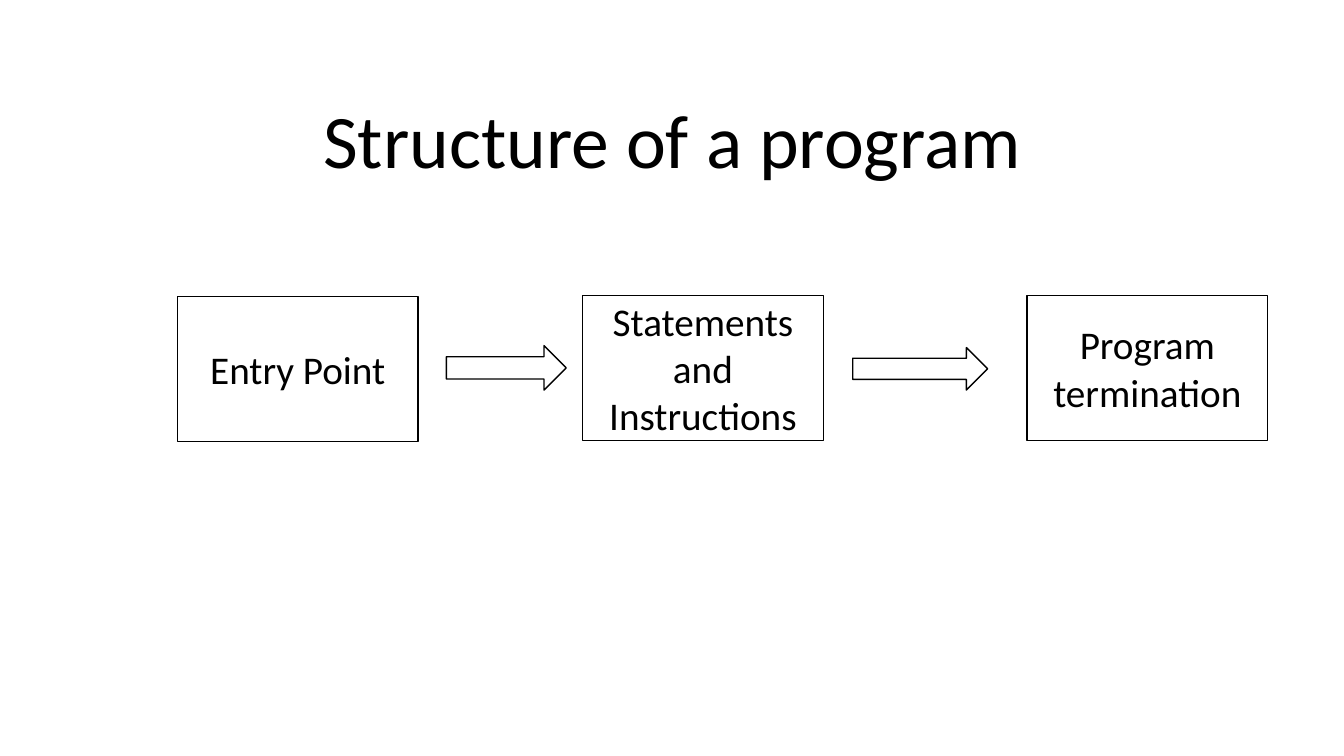
from pptx import Presentation
from pptx.dml.color import RGBColor
from pptx.enum.shapes import MSO_SHAPE
from pptx.enum.text import MSO_ANCHOR, MSO_AUTO_SIZE, PP_ALIGN
from pptx.util import Cm, Pt

RECTANGLE, RIGHT_ARROW = MSO_SHAPE.RECTANGLE, MSO_SHAPE.RIGHT_ARROW
TOP, MIDDLE = MSO_ANCHOR.TOP, MSO_ANCHOR.MIDDLE
CENTER = PP_ALIGN.CENTER
NO_AUTOFIT = MSO_AUTO_SIZE.NONE

COLORS = {"ink": "000000", "paper": "FFFFFF"}
TITLE_ONLY = 5
STEP_WIDTH, STEP_HEIGHT = 6.07, 3.66

# Steps: text, left, top
STEPS = [
    ("Entry Point", 4.47, 7.47),
    ("Statements and Instructions", 14.68, 7.44),
    ("Program termination", 25.88, 7.44),
]
# Arrows between the steps: left, top, width, height
ARROWS = [(11.25, 8.71, 3.02, 1.12), (21.49, 8.76, 3.4, 1.07)]


class FlowPage:
    font = "Calibri"
    title_size = 54
    step_size = 28
    line_width = 1

    def __init__(self, page):
        self.page = page

    def color(self, name):
        return RGBColor.from_string(COLORS[name])

    def set_text(self, shape, text, size, anchor):
        frame = shape.text_frame
        frame.text = text
        frame.word_wrap = True
        frame.auto_size = NO_AUTOFIT
        frame.vertical_anchor = anchor
        para = frame.paragraphs[0]
        para.alignment = CENTER
        para.font.name = self.font
        para.font.size = Pt(size)
        para.font.color.rgb = self.color("ink")

    def title(self, text, left, top, width, height):
        box = self.page.shapes.title
        box.left, box.top = Cm(left), Cm(top)
        box.width, box.height = Cm(width), Cm(height)
        self.set_text(box, text, self.title_size, TOP)

    def outline(self, kind, left, top, width, height):
        shape = self.page.shapes.add_shape(
            kind, Cm(left), Cm(top), Cm(width), Cm(height))
        shape.shadow.inherit = False
        shape.fill.solid()
        shape.fill.fore_color.rgb = self.color("paper")
        shape.line.color.rgb = self.color("ink")
        shape.line.width = Pt(self.line_width)
        return shape

    def step(self, text, left, top):
        box = self.outline(RECTANGLE, left, top, STEP_WIDTH, STEP_HEIGHT)
        self.set_text(box, text, self.step_size, MIDDLE)

    def arrow(self, left, top, width, height):
        self.outline(RIGHT_ARROW, left, top, width, height)


def main():
    deck = Presentation()
    deck.slide_width, deck.slide_height = Cm(33.87), Cm(19.05)
    flow = FlowPage(deck.slides.add_slide(deck.slide_layouts[TITLE_ONLY]))

    # Heading
    flow.title("Structure of a program", 7.8, 2.21, 18.29, 2.57)

    # Flow from entry to termination
    for step in STEPS:
        flow.step(*step)
    for arrow in ARROWS:
        flow.arrow(*arrow)

    deck.save("out.pptx")


if __name__ == "__main__":
    main()
